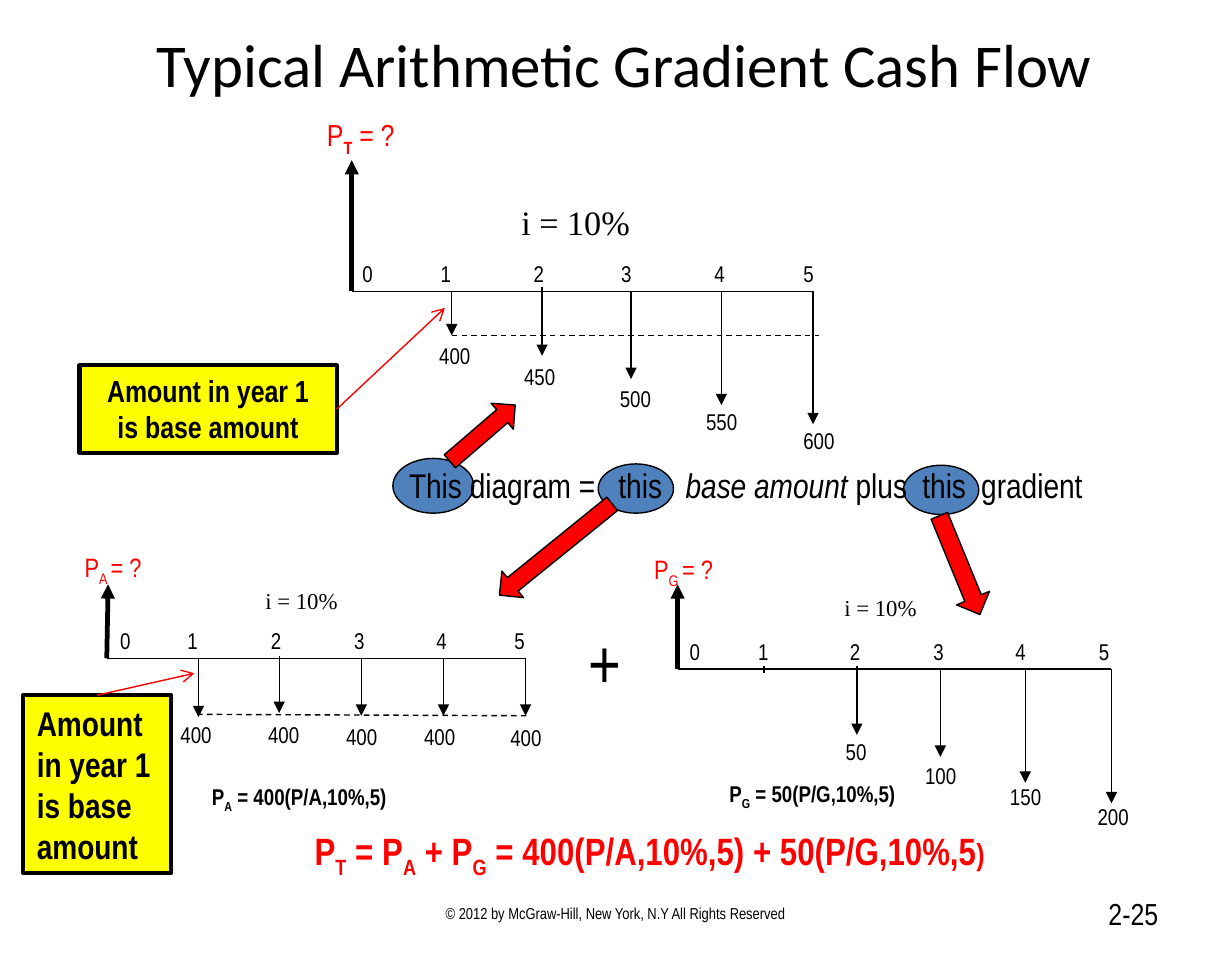
"""Build the slide that splits an arithmetic gradient cash flow into two parts."""
from lxml import etree
from pptx import Presentation, util as u
from pptx.dml.color import RGBColor
from pptx.enum import dml, shapes, text
from pptx.oxml.ns import qn

BLACK = RGBColor(0, 0, 0)
RED = RGBColor(0xFF, 0, 0)
BLUE = RGBColor(0x4F, 0x81, 0xBD)
GOLD = RGBColor(0xFF, 0xFF, 0)
NARROW, TIMES = "Arial Narrow", "Times New Roman"
LEFT, MID, RIGHT = text.PP_ALIGN.LEFT, text.PP_ALIGN.CENTER, text.PP_ALIGN.RIGHT
OVAL, BOX, ARROW = (shapes.MSO_SHAPE.OVAL, shapes.MSO_SHAPE.RECTANGLE,
                    shapes.MSO_SHAPE.RIGHT_ARROW)

deck = Presentation()
deck.slide_width, deck.slide_height = u.Inches(9), u.Inches(7)
slide = deck.slides.add_slide(deck.slide_layouts[5])


def write(spot, paras, size, tone=BLACK, face=NARROW, align=LEFT, stops=(), shape=None):
    """Write paragraphs of (words, style) runs; b is bold, i italic, _ subscript."""
    if shape is None:
        shape = slide.shapes.add_textbox(*map(u.Inches, spot))
    frame = shape.text_frame
    frame.word_wrap = True
    for n, runs in enumerate(paras):
        para = frame.add_paragraph() if n else frame.paragraphs[0]
        para.alignment = align
        if stops:
            tabs = etree.SubElement(para._p.get_or_add_pPr(), qn("a:tabLst"))
            for stop in stops:
                etree.SubElement(tabs, qn("a:tab"), pos=str(u.Inches(stop)), algn="l")
        for words, style in runs:
            run = para.add_run()
            run.text = words
            run.font.name, run.font.size = face, u.Pt(size)
            run.font.color.rgb = tone
            run.font.bold, run.font.italic = "b" in style, "i" in style
            if "_" in style:
                run._r.get_or_add_rPr().set("baseline", "-25000")
    return frame


def rule(x1, y1, x2, y2, tone=BLACK, width=0.75, head=None, dash=False):
    """Draw a straight line, dashed or with an arrowhead at its end."""
    line = slide.shapes.add_connector(
        shapes.MSO_CONNECTOR.STRAIGHT, *map(u.Inches, (x1, y1, x2, y2)))
    line.line.color.rgb, line.line.width = tone, u.Pt(width)
    if dash:
        line.line.dash_style = dml.MSO_LINE.DASH
    if head:
        etree.SubElement(line.line._get_or_add_ln(), qn("a:tailEnd"), type=head)
    etree.SubElement(line._element.spPr, qn("a:effectLst"))


title = slide.shapes.title
title.left, title.top, title.width, title.height = map(u.Inches, (0.74, 0, 7.65, 0.92))
write(None, [[("Typical Arithmetic Gradient Cash Flow", "")]], 32,
      face="Calibri", align=MID, shape=title)
title.text_frame.vertical_anchor = text.MSO_ANCHOR.MIDDLE

notes = []
for kind, spot, turn, fill, width in [
    (OVAL, (6.6, 3.4, 0.55, 0.36), 0, BLUE, 0.75),
    (OVAL, (4.37, 3.39, 0.55, 0.36), 0, BLUE, 0.75),
    (OVAL, (2.87, 3.35, 0.59, 0.4), 0, BLUE, 0.75),
    (ARROW, (3.21, 3.04, 0.63, 0.25), 319.3, RED, 0.75),
    (ARROW, (3.53, 3.89, 1.06, 0.25), 141, RED, 0.75),
    (ARROW, (6.62, 4, 0.78, 0.26), 67.7, RED, 0.75),
    (BOX, (0.17, 5.08, 1.08, 1.3), 0, GOLD, 2.25),
    (BOX, (0.58, 2.67, 1.88, 0.64), 0, GOLD, 2.25),
]:
    form = slide.shapes.add_shape(kind, *map(u.Inches, spot))
    form.shadow.inherit = False
    form.rotation = turn
    form.fill.solid()
    form.fill.fore_color.rgb = fill
    form.line.color.rgb, form.line.width = BLACK, u.Pt(width)
    if kind == BOX:
        notes.append(form)

for note, size, align in zip(notes, (18, 16), (LEFT, MID)):
    frame = write(None, [[("Amount in year 1", "b")], [("is base amount", "b")]], size,
                  align=align, shape=note)
    frame.vertical_anchor = text.MSO_ANCHOR.TOP

for base, start, tip, end, top, years, flows in [
    (2.13, 2.57, 2.57, 5.94, 1.17, (2.65, 3.22, 3.9, 4.54, 5.22, 5.87), [
        (3.3, 2.13, 2.45, "400", 3.11, 2.45), (3.96, 2.1, 2.6, "450", 3.73, 2.6),
        (4.61, 2.13, 2.77, "500", 4.43, 2.76), (5.27, 2.13, 2.96, "550", 5.06, 2.93),
        (5.94, 2.13, 3.1, "600", 5.77, 3.07)]),
    (4.81, 0.78, 0.79, 3.84, 4.27, (0.88, 1.37, 1.98, 2.59, 3.19, 3.76), [
        (1.45, 4.81, 5.24, "400", 1.22, 5.22), (2.04, 4.79, 5.21, "400", 1.86, 5.22),
        (2.64, 4.81, 5.23, "400", 2.43, 5.23), (3.24, 4.81, 5.23, "400", 3, 5.23),
        (3.84, 4.81, 5.23, "400", 3.63, 5.24)]),
    (4.89, 4.95, 4.95, 8.12, 4.27, (5.04, 5.54, 6.21, 6.82, 7.42, 8.03), [
        (6.26, 4.87, 5.37, "50", 6.08, 5.34), (6.87, 4.89, 5.53, "100", 6.66, 5.52),
        (7.49, 4.89, 5.72, "150", 7.28, 5.67), (8.12, 4.89, 5.87, "200", 7.92, 5.82)]),
]:
    rule(start, base, tip, top, width=2.5, head="triangle")
    rule(start, base, end, base)
    write((years[0] - 0.1, base - 0.28, end - start + 0.3, 0.3),
          [[("0\t1\t2\t3\t4\t5", "")]], 12, stops=[x - years[0] for x in years[1:]])
    for x, y1, y2, sum_, left, y in flows:
        rule(x, y1, x, y2, head="triangle")
        write((left, y, 0.5, 0.3), [[(sum_, "")]], 12)

rule(5.58, 4.87, 5.58, 4.92)
rule(3.3, 2.45, 5.98, 2.45, dash=True)
rule(1.44, 5.22, 3.85, 5.23, dash=True)
rule(0.71, 5.08, 1.42, 4.92, RED, head="arrow")
rule(2.46, 2.99, 3.25, 2.25, RED, head="arrow")

for spot, sub, style, mark, size in [
    ((2.29, 0.8, 0.88, 0.41), "T", "b_", " = ?", 16),
    ((0.52, 3.98, 0.73, 0.37), "A ", "_", "= ?", 14),
    ((4.68, 3.99, 0.74, 0.37), "G ", "_", "= ?", 14),
]:
    write(spot, [[("P", ""), (sub, style), (mark, "")]], size, RED)

for spot, size in [((3.71, 1.42, 1.2, 0.4), 18), ((1.84, 4.24, 0.9, 0.3), 12),
                   ((6.07, 4.29, 0.9, 0.3), 12)]:
    write(spot, [[("i = 10%", "")]], size, face=TIMES)

write((4.2, 4.48, 0.5, 0.7), [[("+", "")]], 36)
write((2.89, 3.34, 5.4, 0.4),
      [[("This diagram =\tthis\t", ""), ("base amount ", "i"), ("plus\tthis\tgradient", "")]],
      18, stops=(1.53, 2.02, 3.75, 4.18))

for spot, sub, sum_ in [((1.45, 5.67, 1.7, 0.33), "A", " = 400(P/A,10%,5)"),
                        ((5.23, 5.65, 1.6, 0.33), "G", " = 50(P/G,10%,5)")]:
    write(spot, [[("P", "b"), (sub, "b_"), (sum_, "b")]], 12)

total = write((2.2, 6, 5.4, 0.48), [[
    ("P", "b"), ("T", "b_"), (" = P", "b"), ("A", "b_"), (" + P", "b"), ("G", "b_"),
    (" = 400(P/A,10%,5) + 50(P/G,10%,5", "b"), (")", "b")]], 20, RED)
total.paragraphs[0].runs[-1].font.size = u.Pt(16)

for spot, words, size, align in [
    ((3.07, 6.49, 2.85, 0.37),
     "© 2012 by McGraw-Hill, New York, N.Y All Rights Reserved", 8.3, MID),
    ((6.46, 6.49, 2.1, 0.37), "2-25", 16, RIGHT),
]:
    foot = write(spot, [[(words, "")]], size, align=align)
    foot.vertical_anchor = text.MSO_ANCHOR.MIDDLE

deck.save("out.pptx")
